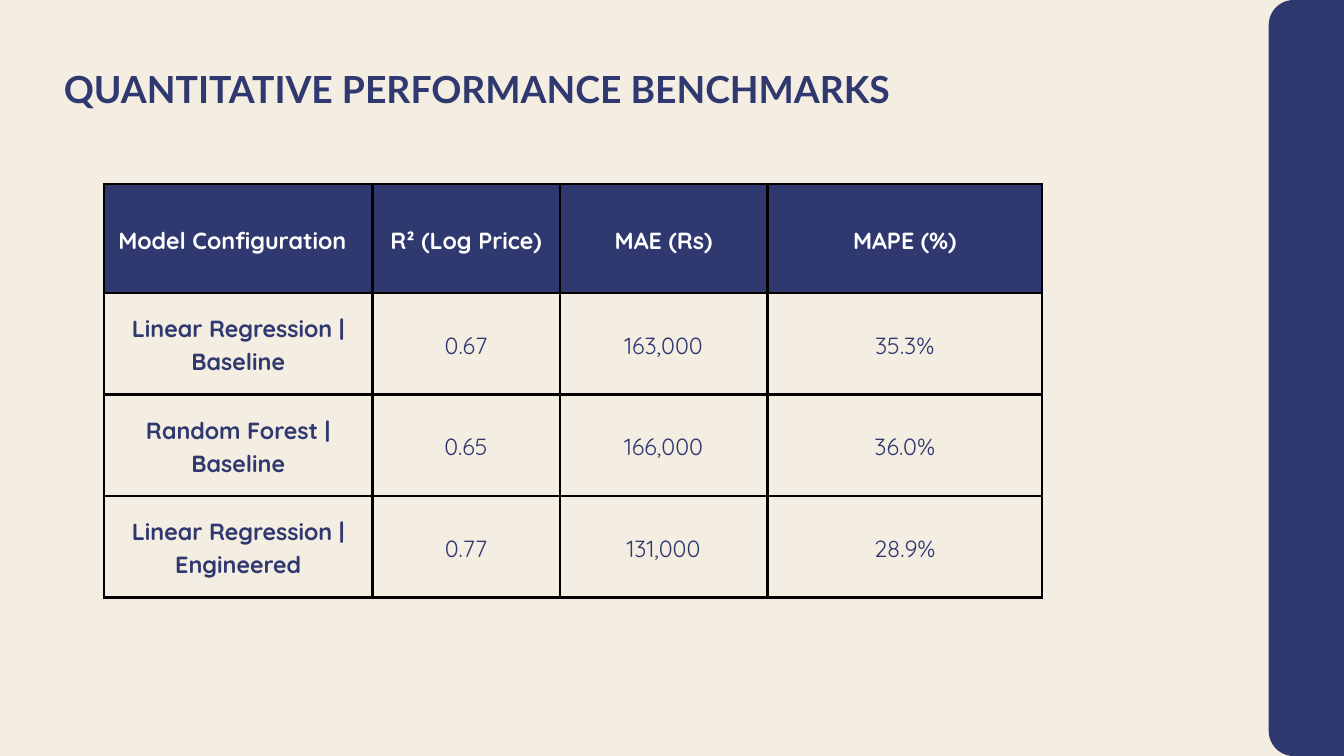
from lxml.etree import SubElement as Sub
from pptx import Presentation as Deck
from pptx.dml.color import RGBColor as Color
from pptx.enum.shapes import MSO_SHAPE as Kind
from pptx.enum.text import MSO_ANCHOR as Anchor, PP_ALIGN as Align
from pptx.oxml.ns import qn
from pptx.util import Emu, Pt

SCALE = 9144
NAVY = Color(0x30, 0x38, 0x70)
CREAM = Color(0xF4, 0xED, 0xE2)
WHITE = Color(0xFF, 0xFF, 0xFF)
BLACK = Color(0, 0, 0)

COLS = [399, 279, 309, 409]
ROWS = [162, 151, 151, 151]
DATA = [
    ["Model Configuration", "R² (Log Price)", "MAE (Rs)", "MAPE (%)"],
    ["Linear Regression | Baseline", "0.67", "163,000", "35.3%"],
    ["Random Forest | Baseline", "0.65", "166,000", "36.0%"],
    ["Linear Regression | Engineered", "0.77", "131,000", "28.9%"],
]


def px(n):
    return Emu(n * SCALE)


class Page:
    head = "Lato"
    body = "Quicksand"
    pad = 21

    def __init__(self, deck):
        self.slide = deck.slides.add_slide(deck.slide_layouts[6])
        fill = self.slide.background.fill
        fill.solid()
        fill.fore_color.rgb = CREAM

    def label(self, frame, text, face, size, lead, color, bold=True, align=Align.LEFT):
        para = frame.paragraphs[0]
        para.text = text
        para.alignment = align
        para.line_spacing = Pt(lead)
        font = para.font
        font.name, font.size, font.bold = face, Pt(size), bold
        font.color.rgb = color

    def panel(self, x, y, w, h, radius):
        shape = self.slide.shapes.add_shape(Kind.ROUNDED_RECTANGLE, px(x), px(y), px(w), px(h))
        shape.adjustments[0] = radius / min(w, h)
        shape.shadow.inherit = False
        shape.fill.solid()
        shape.fill.fore_color.rgb = NAVY
        shape.line.fill.background()

    def title(self, x, y, w, h, text):
        frame = self.slide.shapes.add_textbox(px(x), px(y), px(w), px(h)).text_frame
        frame.word_wrap = True
        frame.margin_left = frame.margin_right = frame.margin_top = frame.margin_bottom = 0
        self.label(frame, text, self.head, 40, 45.6, NAVY)

    def border(self, cell):
        props = cell._tc.get_or_add_tcPr()
        for side in ("lnL", "lnR", "lnT", "lnB"):
            line = Sub(props, qn(f"a:{side}"), w=str(Pt(3)))
            Sub(Sub(line, qn("a:solidFill")), qn("a:srgbClr"), val=str(BLACK))

    def table(self, x, y, cols, rows, data):
        table = self.slide.shapes.add_table(
            len(rows), len(cols), px(x), px(y), px(sum(cols)), px(sum(rows))).table
        table.first_row = table.horz_banding = False
        for col, w in zip(table.columns, cols):
            col.width = px(w)
        for r, (row, h) in enumerate(zip(table.rows, rows)):
            row.height = px(h)
            for c, cell in enumerate(row.cells):
                self.cell(cell, data[r][c], r == 0, c == 0)

    def cell(self, cell, text, top, first):
        cell.margin_left = cell.margin_right = px(self.pad)
        cell.margin_top = cell.margin_bottom = px(self.pad)
        cell.vertical_anchor = Anchor.MIDDLE
        self.border(cell)
        if top:
            cell.fill.solid()
            cell.fill.fore_color.rgb = NAVY
        else:
            cell.fill.background()
        self.label(cell.text_frame, text, self.body, 25, 35, WHITE if top else NAVY,
                   top or first, Align.LEFT if top and first else Align.CENTER)


def main():
    deck = Deck()
    deck.slide_width, deck.slide_height = px(2000), px(1125)
    page = Page(deck)
    page.panel(1888, 0, 338, 1125, 37)
    page.table(155, 274, COLS, ROWS, DATA)
    page.title(95, 102, 1584, 76, "QUANTITATIVE PERFORMANCE BENCHMARKS")
    deck.save("out.pptx")


if __name__ == "__main__":
    main()
